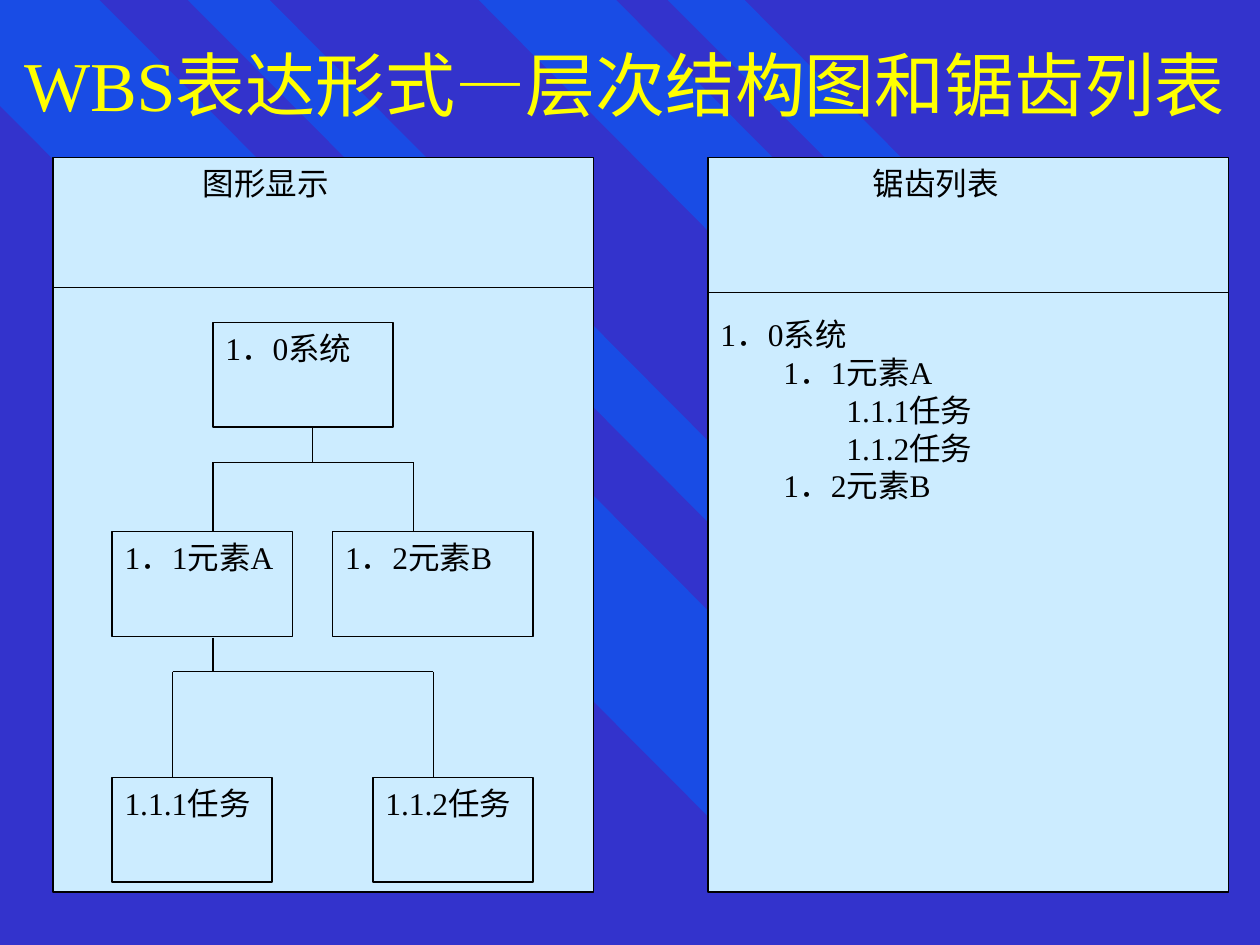
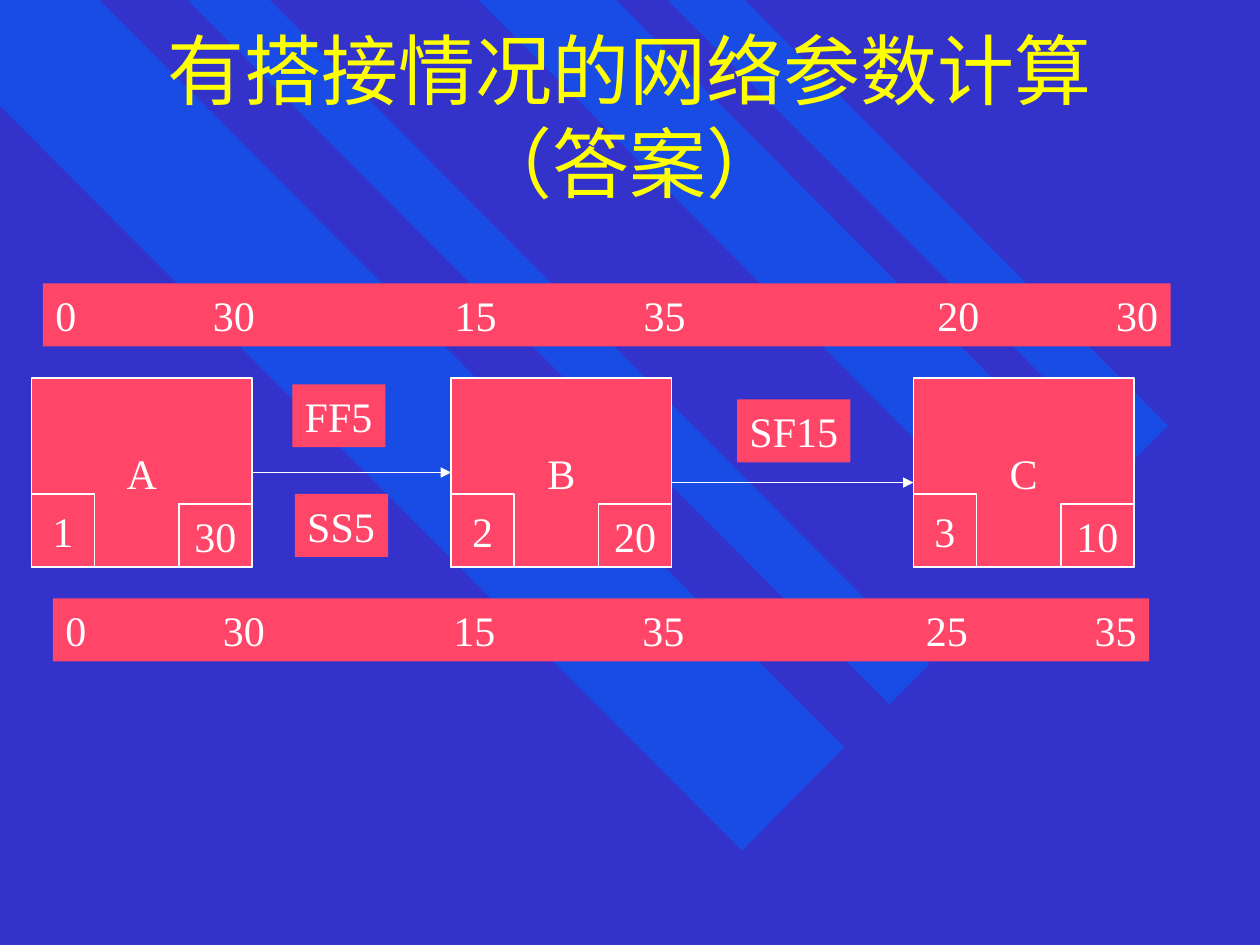
from lxml.etree import SubElement
from pptx import Presentation
from pptx.dml.color import RGBColor
from pptx.enum.shapes import MSO_CONNECTOR, MSO_SHAPE
from pptx.enum.text import MSO_ANCHOR, MSO_AUTO_SIZE, PP_ALIGN
from pptx.oxml.ns import qn
from pptx.util import Inches, Pt

NAVY = RGBColor(0x33, 0x33, 0xCC)
BLUE = RGBColor(0x00, 0x66, 0xFF)
YELLOW = RGBColor(0xFF, 0xFF, 0x00)
SKY = RGBColor(0xCC, 0xEC, 0xFF)
ROSE = RGBColor(0xFF, 0x45, 0x68)
BLACK = RGBColor(0x00, 0x00, 0x00)
WHITE = RGBColor(0xFF, 0xFF, 0xFF)
FONT = "Times New Roman"

STRIPES = [
    [(6.7, 5.93), (0.79, 0), (0, 0), (0, 0.84), (5.89, 6.75)],
    [(2.14, 0), (7.38, 5.27), (7.06, 5.59), (1.49, 0)],
    [(4.89, 0), (8.76, 3.89), (8.21, 4.44), (3.8, 0)],
    [(5.3, 0), (8.97, 3.68), (9.27, 3.38), (5.91, 0)],
]

WBS = ["WBS表达形式—层次结构图和锯齿列表"]
PANELS = [
    (0.42, 4.29, 2.28, [("图形显示", 1.09, 0)]),
    (5.62, 4.13, 2.32, [
        ("锯齿列表", 1.21, 0),
        ("1．0系统", 0, 65),
        ("1．1元素A", 0.5, 0),
        ("1.1.1任务", 1, 0),
        ("1.1.2任务", 1, 0),
        ("1．2元素B", 0.5, 0),
    ]),
]
NODES = [
    ("1．0系统", 1.69, 2.56, 1.43),
    ("1．1元素A", 0.89, 4.22, 1.43),
    ("1．2元素B", 2.64, 4.22, 1.59),
    ("1.1.1任务", 0.89, 6.17, 1.27),
    ("1.1.2任务", 2.96, 6.17, 1.27),
]
FORKS = [
    (2.48, (1.69, 3.28), (3.39, 3.67, 4.22)),
    (1.69, (1.37, 3.44), (5.06, 5.33, 6.17)),
]

NET = ["有搭接情况的网络参数计算", "（答案）"]
TASKS = [("A", "1", "30", 0.25), ("B", "2", "20", 3.58), ("C", "3", "10", 7.25)]
LINKS = [(2, 5.33 - 1.75, 3.75), (5.33, 7.25, 3.83)]
TAGS = [("FF5", 2.32, 3.05, 0.74), ("SF15", 5.85, 3.17, 0.9), ("SS5", 2.34, 3.92, 0.74)]
DATES = [
    (0.34, 2.25, 8.95, [0, 30, 15, 35, 20, 30], [1.25, 3.17, 4.67, 7, 8.42]),
    (0.42, 4.75, 8.7, [0, 30, 15, 35, 25, 35], [1.25, 3.08, 4.58, 6.83, 8.17]),
]


def write(para, text, size, ink):
    run = para.add_run()
    run.text = text
    font = run.font
    font.name, font.size = FONT, Pt(size)
    font.color.rgb = ink


def head(slide, lines, place, size):
    title = slide.shapes.title
    title.left, title.top, title.width, title.height = map(Inches, place)
    frame = title.text_frame
    frame.auto_size = MSO_AUTO_SIZE.NONE
    frame.vertical_anchor = MSO_ANCHOR.MIDDLE
    para = frame.paragraphs[0]
    para.alignment = PP_ALIGN.CENTER
    for i, line in enumerate(lines):
        if i:
            para.add_line_break()
        write(para, line, size, YELLOW)


def box(slide, place, rows, fill, ink, size, align, edge=0, stops=()):
    shape = slide.shapes.add_shape(MSO_SHAPE.RECTANGLE, *map(Inches, place))
    shape.shadow.inherit = False
    shape.fill.solid()
    shape.fill.fore_color.rgb = fill
    if edge:
        shape.line.color.rgb = ink
        shape.line.width = Pt(edge)
    else:
        shape.line.fill.background()
    frame = shape.text_frame
    frame.word_wrap = True
    frame.margin_right = Inches(0 if align == PP_ALIGN.LEFT else 0.1)
    middle = align == PP_ALIGN.CENTER
    frame.vertical_anchor = MSO_ANCHOR.MIDDLE if middle else MSO_ANCHOR.TOP
    for i, (text, dent, gap) in enumerate(rows):
        para = frame.add_paragraph() if i else frame.paragraphs[0]
        para.alignment = align
        if gap:
            para.space_before = Pt(gap)
        prop = para._p.get_or_add_pPr()
        prop.set("marL", str(Inches(dent)))
        if stops:
            tabs = SubElement(prop, qn("a:tabLst"))
            for stop in stops:
                SubElement(tabs, qn("a:tab"), pos=str(Inches(stop)), algn="l")
        write(para, text, size, ink)


def rule(slide, start, end, ink, width, arrow=False):
    line = slide.shapes.add_connector(
        MSO_CONNECTOR.STRAIGHT, *map(Inches, (*start, *end)))
    line.line.color.rgb = ink
    line.line.width = Pt(width)
    if arrow:
        SubElement(line.line._get_or_add_ln(), qn("a:tailEnd"), type="triangle")
    SubElement(line.element.spPr, qn("a:effectLst"))


def theme(deck, layout, slide):
    back = deck.slide_master.background.fill
    back.solid()
    back.fore_color.rgb = NAVY
    for spot in list(layout.placeholders)[1:]:
        spot.element.getparent().remove(spot.element)
    front = layout.placeholders[0].element
    for stripe in STRIPES:
        first, *rest = [tuple(map(Inches, point)) for point in stripe]
        pen = slide.shapes.build_freeform(*first)
        pen.add_line_segments(rest, close=True)
        shape = pen.convert_to_shape()
        shape.shadow.inherit = False
        shape.fill.solid()
        shape.fill.fore_color.rgb = BLUE
        shape.line.fill.background()
        tint = shape.element.spPr.find(".//" + qn("a:srgbClr"))
        SubElement(tint, qn("a:alpha"), val="50000")
        front.addprevious(shape.element)


def chart(slide):
    head(slide, WBS, (0.08, 0, 9.75, 1.33), 40)
    look = SKY, BLACK, 18, PP_ALIGN.JUSTIFY, 0.75
    for left, width, split, rows in PANELS:
        box(slide, (left, 1.25, width, 5.83), rows, *look)
        rule(slide, (left, split), (left + width, split), BLACK, 0.75)
    for text, left, top, width in NODES:
        box(slide, (left, top, width, 0.83), [(text, 0, 0)], *look)
    for stem, kids, (top, bar, foot) in FORKS:
        rule(slide, (stem, top), (stem, bar), BLACK, 0.75)
        rule(slide, (kids[0], bar), (kids[-1], bar), BLACK, 0.75)
        for kid in kids:
            rule(slide, (kid, bar), (kid, foot), BLACK, 0.75)


def network(slide):
    head(slide, NET, (0.75, 0.25, 8.5, 1.33), 44)
    look = ROSE, WHITE, 24
    for name, code, days, left in TASKS:
        parts = [
            (name, (left, 3, 1.75, 1.5)),
            (code, (left, 3.92, 0.5, 0.58)),
            (days, (left + 1.17, 4, 0.58, 0.5)),
        ]
        for text, place in parts:
            box(slide, place, [(text, 0, 0)], *look, PP_ALIGN.CENTER, 1)
    for start, end, top in LINKS:
        rule(slide, (start, top), (end, top), WHITE, 1, True)
    for text, left, top, width in TAGS:
        box(slide, (left, top, width, 0.5), [(text, 0, 0)], *look, PP_ALIGN.LEFT)
    for left, top, width, days, stops in DATES:
        text = "\t".join(map(str, days))
        box(slide, (left, top, width, 0.5), [(text, 0, 0)], *look,
            PP_ALIGN.LEFT, stops=stops)


def main():
    deck = Presentation()
    deck.slide_width, deck.slide_height = Inches(10), Inches(7.5)
    layout = deck.slide_layouts[5]
    first = deck.slides.add_slide(layout)
    theme(deck, layout, first)
    chart(first)
    network(deck.slides.add_slide(layout))
    deck.save("out.pptx")


if __name__ == "__main__":
    main()
